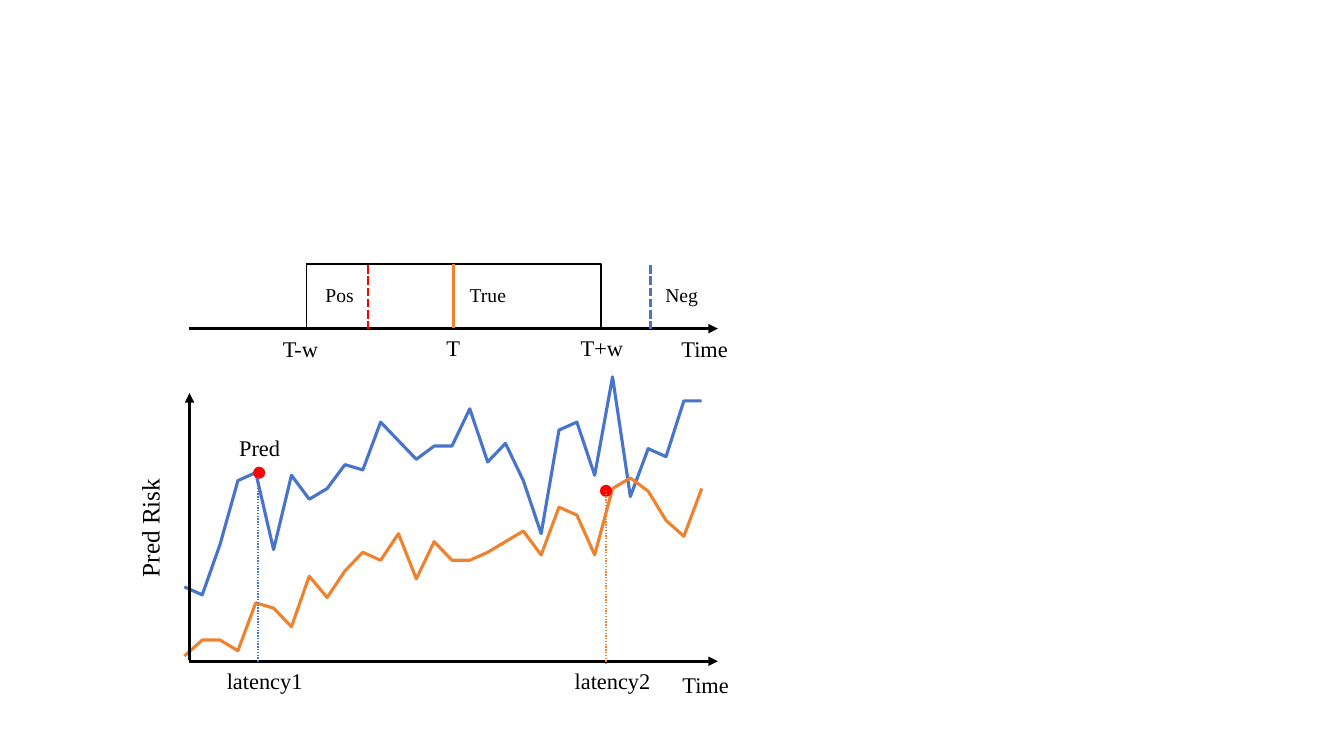
from lxml import etree
from pptx import Presentation
from pptx.chart.data import CategoryChartData
from pptx.dml.color import RGBColor
from pptx.enum.chart import XL_CHART_TYPE
from pptx.enum.dml import MSO_LINE
from pptx.enum.shapes import MSO_CONNECTOR, MSO_SHAPE
from pptx.enum.text import PP_ALIGN
from pptx.oxml.ns import qn
from pptx.util import Pt

LINE_CHART = XL_CHART_TYPE.LINE
STRAIGHT = MSO_CONNECTOR.STRAIGHT
RECTANGLE, OVAL = MSO_SHAPE.RECTANGLE, MSO_SHAPE.OVAL
LEFT, CENTER = PP_ALIGN.LEFT, PP_ALIGN.CENTER
DASH, DOT = MSO_LINE.SQUARE_DOT, MSO_LINE.ROUND_DOT

BLACK = RGBColor(0x00, 0x00, 0x00)
RED = RGBColor(0xFF, 0x00, 0x00)
BLUE = RGBColor(0x48, 0x74, 0xCB)
ORANGE = RGBColor(0xEE, 0x82, 0x2F)

EMU_PER_PX = 9144  # 100 px to the inch
BLANK_LAYOUT = 6
DOT_SIZE = 12

RISKS = [
    ("Series 1", BLUE,
     (21, 18, 37, 61, 64, 35, 63, 54, 58, 67, 65, 83, 76, 69, 74,
      74, 88, 68, 75, 61, 41, 80, 83, 63, 100, 55, 73, 70, 91, 91)),
    ("Series 2", ORANGE,
     (-5, 1, 1, -3, 15, 13, 6, 25, 17, 27, 34, 31, 41, 24, 38,
      31, 31, 34, 38, 42, 33, 51, 48, 33, 58, 62, 57, 46, 40, 58)),
]
PLOT_AREA = {"x": 0.02, "y": 0.044, "w": 0.96, "h": 0.894}


def px(*lengths):
    return [length * EMU_PER_PX for length in lengths]


def add_text(shapes, text, left, top, width, height, size=16, align=LEFT, rotation=0):
    box = shapes.add_textbox(*px(left, top, width, height))
    box.rotation = rotation
    box.text_frame.word_wrap = True
    paragraph = box.text_frame.paragraphs[0]
    paragraph.alignment = align
    run = paragraph.add_run()
    run.text = text
    run.font.name = "Times New Roman"
    run.font.size = Pt(size)
    run.font.color.rgb = BLACK


def add_line(shapes, start, end, color=BLACK, weight=2.25, dash=None, arrow=False):
    connector = shapes.add_connector(STRAIGHT, *px(*start, *end))
    connector.line.color.rgb = color
    connector.line.width = Pt(weight)
    if dash is not None:
        connector.line.dash_style = dash
    if arrow:
        etree.SubElement(connector.line._get_or_add_ln(), qn("a:tailEnd"), type="triangle")
    etree.SubElement(connector._element.spPr, qn("a:effectLst"))


def add_window(shapes, left, top, width, height):
    window = shapes.add_shape(RECTANGLE, *px(left, top, width, height))
    window.shadow.inherit = False
    window.fill.background()
    window.line.color.rgb = BLACK
    window.line.width = Pt(1)


def add_dot(shapes, left, top):
    dot = shapes.add_shape(OVAL, *px(left, top, DOT_SIZE, DOT_SIZE))
    dot.shadow.inherit = False
    dot.fill.solid()
    dot.fill.fore_color.rgb = RED
    dot.line.fill.background()


def place_plot(chart):
    plot_area = chart._chartSpace.chart.plotArea
    layout = plot_area.find(qn("c:layout"))
    if layout is None:
        layout = etree.Element(qn("c:layout"))
        plot_area.insert(0, layout)
    manual = etree.SubElement(layout, qn("c:manualLayout"))
    settings = {"layoutTarget": "inner", "xMode": "edge", "yMode": "edge", **PLOT_AREA}
    for name, value in settings.items():
        etree.SubElement(manual, qn("c:" + name), val=str(value))


def add_risk_chart(shapes, left, top, width, height):
    data = CategoryChartData()
    data.categories = [str(step) for step in range(1, 31)]
    for name, _, values in RISKS:
        data.add_series(name, values)
    chart = shapes.add_chart(LINE_CHART, *px(left, top, width, height), data).chart
    chart.has_legend = False
    chart.has_title = False
    chart.font.name = "Calibri"
    chart.font.size = Pt(10)
    chart.font.color.rgb = BLACK
    chart.category_axis.visible = False
    axis = chart.value_axis
    axis.visible = False
    axis.has_major_gridlines = False
    axis.minimum_scale, axis.maximum_scale = -10, 110
    plot = chart.plots[0]
    plot.vary_by_categories = False
    for series, (_, color, _) in zip(plot.series, RISKS):
        series.smooth = False
        series.format.line.color.rgb = color
        series.format.line.width = Pt(2.25)
    place_plot(chart)


def add_timeline(shapes):
    add_line(shapes, (187, 326), (712, 326), arrow=True)
    add_window(shapes, 304, 262, 292, 63)
    add_line(shapes, (450, 262), (450, 325), color=ORANGE, weight=2)
    for x, color in ((365, RED), (645, BLUE)):
        add_line(shapes, (x, 263), (x, 326), color=color, weight=2, dash=DASH)
    add_text(shapes, "Time", 666, 328, 68, 37)
    for text, left, top, width in (("T", 430, 327, 39), ("T-w", 262, 328, 72),
                                   ("T+w", 561, 327, 72)):
        add_text(shapes, text, left, top, width, 37, align=CENTER)
    for text, left in (("Pos", 313), ("Neg", 650), ("True", 456)):
        add_text(shapes, text, left, 276, 57, 34, size=14)


def main():
    presentation = Presentation()
    presentation.slide_width, presentation.slide_height = px(1333, 750)
    slide = presentation.slides.add_slide(presentation.slide_layouts[BLANK_LAYOUT])
    shapes = slide.shapes

    # Risk curves and their axes
    add_risk_chart(shapes, 163, 332, 553, 354)
    add_line(shapes, (187, 656), (712, 656), arrow=True)
    add_line(shapes, (188, 655), (188, 390), arrow=True)
    add_text(shapes, "Time", 667, 661, 68, 37)

    # Timeline with the prediction window
    add_timeline(shapes.add_group_shape().shapes)

    # Predictions and their latencies
    add_text(shapes, "Pred Risk", 88, 492, 131, 50, size=18, rotation=270)
    add_dot(shapes, 251, 463)
    add_dot(shapes, 595, 481)
    add_line(shapes, (256, 473), (256, 657), color=BLUE, weight=1, dash=DOT)
    add_line(shapes, (601, 487), (601, 658), color=ORANGE, weight=1, dash=DOT)
    for text, left, top in (("latency1", 212, 657), ("latency2", 557, 657),
                            ("Pred", 207, 426)):
        add_text(shapes, text, left, top, 101, 37, align=CENTER)

    presentation.save("out.pptx")


if __name__ == "__main__":
    main()
